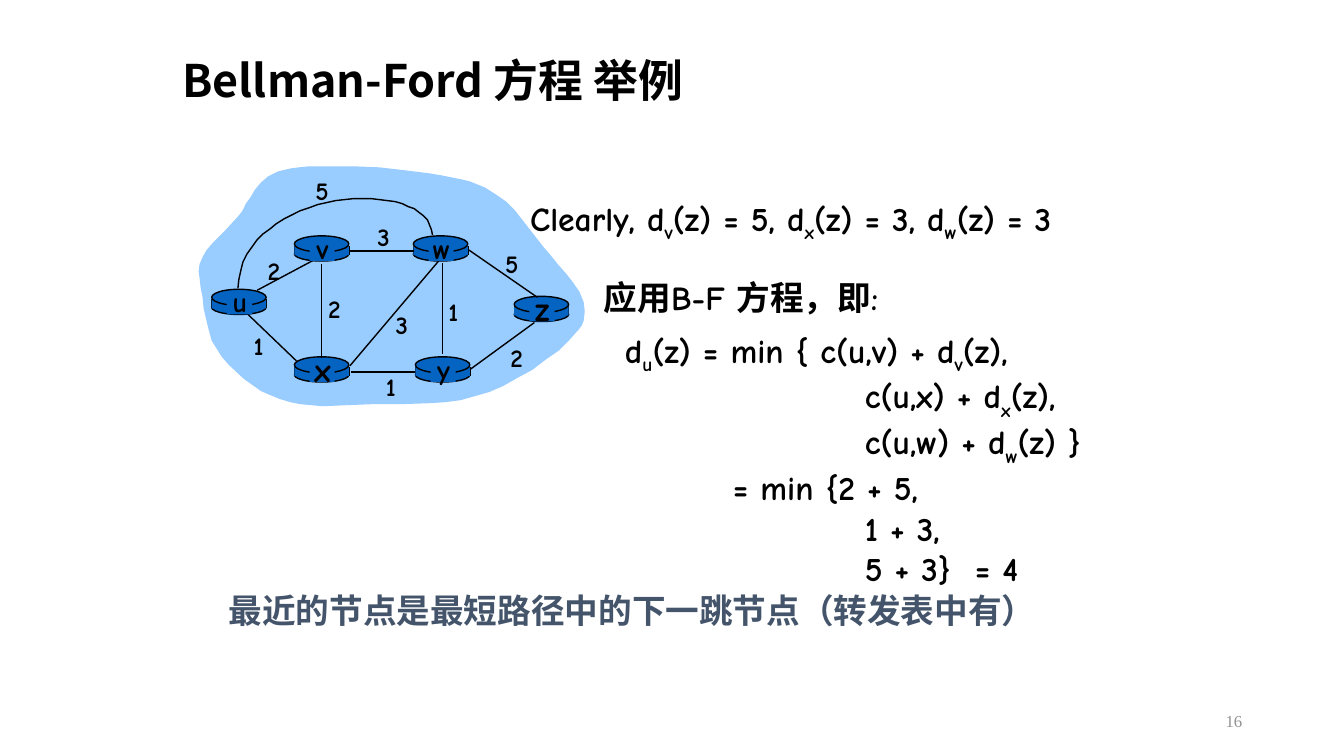
from lxml import etree
from pptx import Presentation
from pptx.dml.color import RGBColor
from pptx.enum.shapes import MSO_CONNECTOR, MSO_SHAPE
from pptx.enum.text import MSO_ANCHOR, PP_ALIGN
from pptx.oxml.ns import qn
from pptx.util import Cm, Pt

STRAIGHT = MSO_CONNECTOR.STRAIGHT
ELLIPSE, RECTANGLE = MSO_SHAPE.OVAL, MSO_SHAPE.RECTANGLE
TOP, MIDDLE = MSO_ANCHOR.TOP, MSO_ANCHOR.MIDDLE
LEFT, CENTER, RIGHT = PP_ALIGN.LEFT, PP_ALIGN.CENTER, PP_ALIGN.RIGHT
COLORS = {"ink": "000000", "cloud": "99CCFF", "router": "0563C1",
          "note": "44546A", "number": "919293"}
HAND, SANS, SERIF = "Comic Neue", "Noto Sans CJK SC", "Times New Roman"

CLOUD = [
    (1.97, 2.69), (1.98, 2.62), (2.01, 2.55), (2.05, 2.48), (2.11, 2.41),
    (2.23, 2.29), (2.35, 2.16), (2.4, 2.1), (2.44, 2.02), (2.49, 1.95),
    (2.53, 1.88), (2.59, 1.81), (2.66, 1.75), (2.76, 1.7), (2.89, 1.67),
    (2.97, 1.66), (3.06, 1.65), (3.27, 1.65), (3.51, 1.65), (3.76, 1.66),
    (4.02, 1.69), (4.26, 1.72), (4.38, 1.74), (4.48, 1.76), (4.58, 1.78),
    (4.66, 1.8), (4.81, 1.86), (4.92, 1.93), (5.02, 2), (5.11, 2.09),
    (5.18, 2.18), (5.25, 2.27), (5.39, 2.45), (5.46, 2.53), (5.54, 2.63),
    (5.62, 2.72), (5.69, 2.81), (5.75, 2.9), (5.79, 3), (5.8, 3.09),
    (5.79, 3.18), (5.77, 3.23), (5.74, 3.27), (5.65, 3.37), (5.54, 3.48),
    (5.41, 3.57), (5.28, 3.67), (5.13, 3.75), (4.99, 3.83), (4.85, 3.89),
    (4.71, 3.93), (4.57, 3.97), (4.42, 3.99), (4.27, 4), (3.97, 4.01),
    (3.69, 4.01), (3.44, 4.02), (3.2, 4.03), (2.98, 4.01), (2.88, 3.99),
    (2.78, 3.96), (2.68, 3.92), (2.59, 3.88), (2.42, 3.76), (2.27, 3.62),
    (2.2, 3.54), (2.15, 3.46), (2.1, 3.38), (2.07, 3.27), (2.02, 3.06),
    (2.01, 2.95), (1.99, 2.85), (1.98, 2.76)]
ARC_U_W = [
    (4.29, 2.33), (4.28, 2.28), (4.26, 2.23), (4.24, 2.18), (4.2, 2.14),
    (4.16, 2.11), (4.11, 2.07), (4.05, 2.05), (3.99, 2.02), (3.92, 2),
    (3.84, 1.99), (3.68, 1.97), (3.6, 1.97), (3.51, 1.97), (3.42, 1.98),
    (3.33, 1.99), (3.24, 2.01), (3.15, 2.03), (3.07, 2.06), (2.98, 2.09),
    (2.9, 2.13), (2.82, 2.17), (2.74, 2.22), (2.68, 2.27), (2.61, 2.32),
    (2.55, 2.38), (2.5, 2.45), (2.45, 2.52), (2.41, 2.6), (2.39, 2.68),
    (2.37, 2.77), (2.36, 2.86)]
ROUTERS = [("u", 2.1, 2.87, 20), ("x", 2.92, 3.54, 24), ("v", 2.92, 2.34, 20),
           ("w", 4.1, 2.34, 20), ("y", 4.12, 3.54, 20), ("z", 5.1, 2.94, 24)]
LINK_U_V = (2.55, 2.88, 3.15, 2.56)
LINKS = [(4.39, 2.61, 4.39, 3.51), (3.19, 2.62, 3.19, 3.55),
         (3.47, 3.63, 4.35, 2.59), (4.67, 3.66, 5.3, 3.2),
         (4.12, 3.69, 3.48, 3.69), (2.94, 3.58, 2.46, 3.12),
         (4.11, 2.49, 3.47, 2.49), (5.33, 2.95, 4.65, 2.48)]
WEIGHTS = [("2", 2.54, 2.48), ("2", 3.14, 2.86), ("1", 2.39, 3.23),
           ("3", 3.81, 3.02), ("1", 3.7, 3.63), ("1", 4.32, 2.89),
           ("2", 4.95, 3.35), ("5", 4.9, 2.41), ("3", 3.63, 2.15),
           ("5", 3.02, 1.69)]
FORMULA = [("d_u(z) = min { c(u,v) + d_v(z),", 0), ("c(u,x) + d_x(z),", 2.38),
           ("c(u,w) + d_w(z) }", 2.38), ("= min {2 + 5,", 1.07),
           ("1 + 3,", 2.38), ("5 + 3}  = 4", 2.38)]


def inch(value):
    return Cm(value * 2.54)


def color(name):
    return RGBColor.from_string(COLORS[name])


def write(para, text, size=24, font=HAND, ink="ink", bold=True, align=LEFT,
          spacing=None, indent=0):
    para.alignment = align
    para.line_spacing = spacing
    if indent:
        para._p.get_or_add_pPr().set("marL", str(inch(indent)))
    first, *rest = text.split("_")
    pieces = [(first, False)]
    for part in rest:
        pieces += [(part[0], True), (part[1:], False)]
    for piece, lowered in pieces:
        span = para.add_run()
        span.text = piece
        span.font.size = Pt(size)
        span.font.bold = bold
        span.font.name = font
        span.font.color.rgb = color(ink)
        props = span._r.get_or_add_rPr()
        etree.SubElement(props, qn("a:ea")).set("typeface", SANS)
        if lowered:
            props.set("baseline", "-25000")


class Painter:
    def __init__(self, page):
        self.shapes = page.shapes

    def paint(self, shape, fill=None, line=None):
        shape.shadow.inherit = False
        if fill:
            shape.fill.solid()
            shape.fill.fore_color.rgb = color(fill)
        else:
            shape.fill.background()
        if line:
            shape.line.color.rgb = color(line)
            shape.line.width = Pt(1)
        else:
            shape.line.fill.background()

    def preset(self, kind, left, top, width, height, line=None):
        shape = self.shapes.add_shape(kind, *map(inch, (left, top, width, height)))
        self.paint(shape, "router", line)

    def outline(self, points, closed, **look):
        start, *others = [(inch(x), inch(y)) for x, y in points]
        builder = self.shapes.build_freeform(*start)
        builder.add_line_segments(others, close=closed)
        self.paint(builder.convert_to_shape(), **look)

    def link(self, *ends):
        line = self.shapes.add_connector(STRAIGHT, *map(inch, ends))
        line.line.color.rgb = color("ink")
        line.line.width = Pt(1)
        etree.SubElement(line._element.spPr, qn("a:effectLst"))

    def text(self, left, top, width, height, text, anchor=TOP, wrap=True, **style):
        self.lines(left, top, width, height, [(text, 0)], anchor, wrap, **style)

    def lines(self, left, top, width, height, rows, anchor=TOP, wrap=True, **style):
        box = self.shapes.add_textbox(*map(inch, (left, top, width, height)))
        frame = box.text_frame
        frame.word_wrap = wrap
        frame.vertical_anchor = anchor
        for index, (text, indent) in enumerate(rows):
            para = frame.add_paragraph() if index else frame.paragraphs[0]
            write(para, text, indent=indent, **style)

    def router(self, left, top):
        self.preset(ELLIPSE, left, top + 0.11, 0.54, 0.14, "ink")
        for side in (left, left + 0.54):
            self.link(side, top + 0.1, side, top + 0.19)
        self.preset(RECTANGLE, left, top + 0.1, 0.54, 0.09)
        self.preset(ELLIPSE, left, top, 0.54, 0.16, "ink")

    def router_name(self, name, left, top, size):
        self.preset(RECTANGLE, left + 0.15, top + 0.02, 0.25, 0.23)
        self.text(left + 0.08, top - 0.13, 0.4, 0.5, name, MIDDLE, False,
                  size=size, align=CENTER)


def main():
    deck = Presentation()
    deck.slide_width, deck.slide_height = inch(13.33), inch(7.5)
    painter = Painter(deck.slides.add_slide(deck.slide_layouts[6]))
    painter.text(1.71, 0.34, 6.48, 0.97, "Bellman-Ford 方程 举例", MIDDLE,
                 size=32, font=SANS, spacing=0.9)
    painter.text(9.42, 6.95, 3, 0.4, "16", MIDDLE, size=12, font=SERIF,
                 ink="number", bold=False, align=RIGHT)
    painter.outline(CLOUD, True, fill="cloud")
    painter.link(*LINK_U_V)
    for name, left, top, size in ROUTERS:
        painter.router(left, top)
    for ends in LINKS:
        painter.link(*ends)
    painter.outline(ARC_U_W, False, line="ink")
    for router in ROUTERS:
        painter.router_name(*router)
    for weight, left, top in WEIGHTS:
        painter.text(left, top, 0.35, 0.4, weight, wrap=False, size=18, align=CENTER)
    painter.text(5.16, 1.91, 6.57, 0.51, "Clearly, d_v(z) = 5, d_x(z) = 3, d_w(z) = 3")
    painter.lines(6.1, 3.22, 5.63, 2.53, FORMULA)
    painter.text(2.17, 5.8, 8.32, 0.51,
                 "最近的节点是最短路径中的下一跳节点（转发表中有）", ink="note")
    painter.text(5.89, 2.7, 3.15, 0.51, "应用B-F 方程，即:")
    deck.save("out.pptx")


if __name__ == "__main__":
    main()
